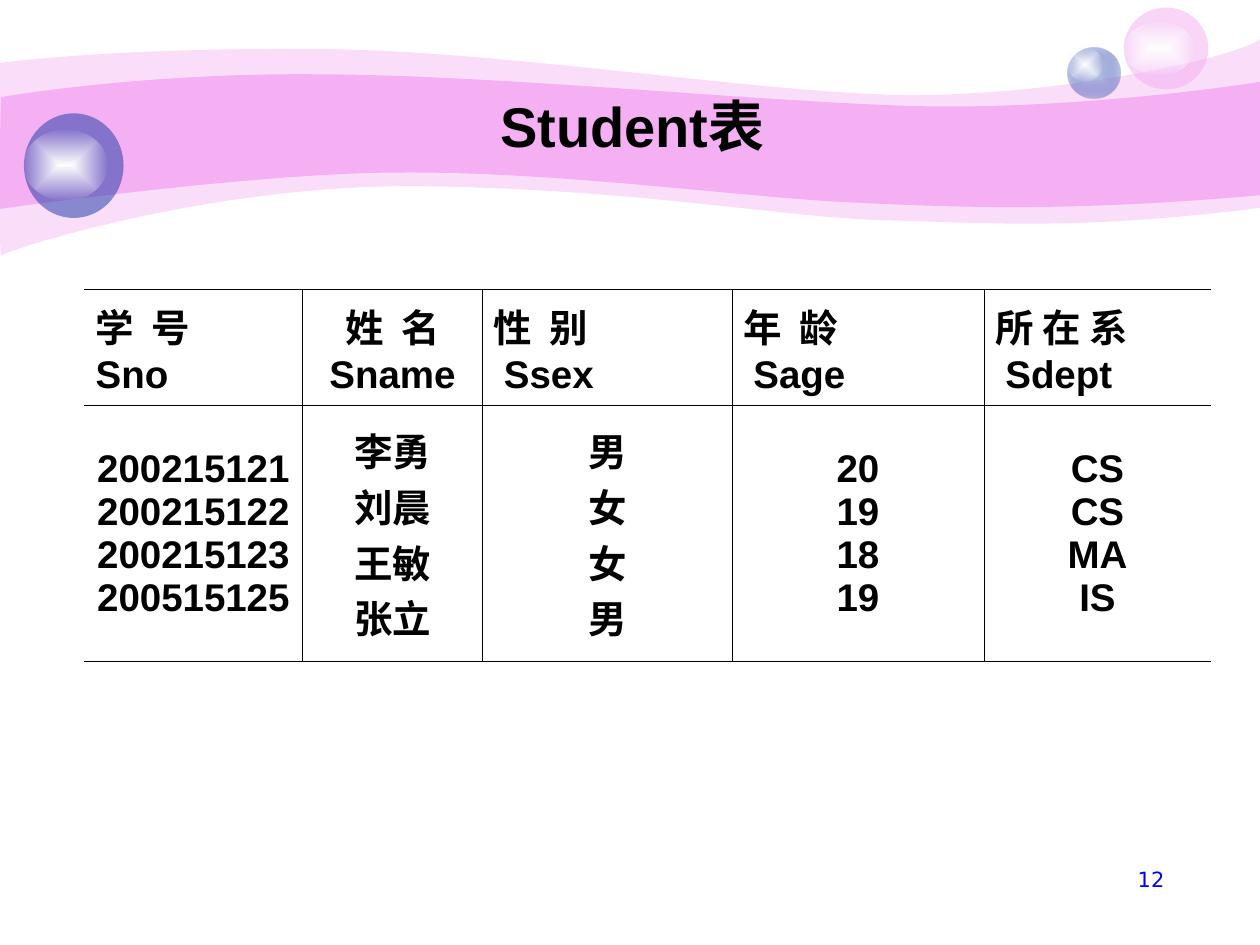
from dataclasses import dataclass

from lxml import etree
from pptx import Presentation
from pptx.dml.color import RGBColor
from pptx.enum import shapes, text
from pptx.oxml import ns
from pptx.util import Inches, Pt


@dataclass(frozen=True)
class Theme:
    """Colours, fonts and type sizes of the slide."""
    pink: str = "F4B0F2"
    blue: str = "233DA9"
    pale_blue: str = "C7CEE9"
    white: str = "FFFFFF"
    ink: str = "000000"
    number: str = "0000FF"
    font: str = "Arial"
    number_font: str = "DejaVu Sans"
    title_size: float = 32
    table_size: float = 22
    number_size: float = 12
    rule_width: float = 0.45


THEME = Theme()
LEFT, CENTER, RIGHT = text.PP_ALIGN.LEFT, text.PP_ALIGN.CENTER, text.PP_ALIGN.RIGHT

OUTER_WAVE = [
    (0, 0.5),
    [(0.24, 0.47), (1.07, 0.38), (2.47, 0.39)],
    [(3.86, 0.39), (5.75, 0.7), (6.99, 0.75)],
    [(8.22, 0.8), (9.8, 0.47), (10, 0.31)],
    [(10, 1.65)],
    [(8.58, 1.83), (7.87, 1.77), (7.05, 1.75)],
    [(6.22, 1.73), (5.15, 1.51), (3.43, 1.48)],
    [(1.72, 1.44), (0.04, 1.99), (0.01, 2.03)],
    [(-0.01, 2.08), (0, 0.75), (0, 0.5)],
]
INNER_WAVE = [
    (0.01, 0.77),
    [(0.02, 0.77), (1.1, 0.58), (2.48, 0.59)],
    [(3.86, 0.59), (5.95, 0.8), (7.18, 0.84)],
    [(8.41, 0.88), (9.76, 0.69), (10, 0.65)],
    [(10, 1.55)],
    [(8.53, 1.68), (7.65, 1.65), (6.82, 1.61)],
    [(5.99, 1.58), (4.47, 1.36), (3.17, 1.37)],
    [(2.03, 1.37), (-0.02, 1.66), (-0.01, 1.66)],
    [(0, 1.66), (0, 0.77), (0.01, 0.77)],
]
COLUMNS = [
    (1.73, "学 号", "Sno", LEFT, 0, ["200215121", "200215122", "200215123", "200515125"]),
    (1.43, "姓 名", "Sname", CENTER, 0, ["李勇", "刘晨", "王敏", "张立"]),
    (1.98, "性 别", "Ssex", LEFT, 0.08, ["男", "女", "女", "男"]),
    (2.0, "年 龄", "Sage", LEFT, 0.08, ["20", "19", "18", "19"]),
    (1.8, "所 在 系", "Sdept", LEFT, 0.08, ["CS", "CS", "MA", "IS"]),
]


def set_opacity(color, percent):
    """Give a colour element an opacity in percent."""
    etree.SubElement(color, ns.qn("a:alpha"), val=str(percent * 1000))


def fill_solid(shape, color, opacity=100):
    """Fill a shape with one colour, without line or shadow."""
    shape.shadow.inherit = False
    shape.fill.solid()
    shape.fill.fore_color.rgb = RGBColor.from_string(color)
    if opacity < 100:
        set_opacity(next(shape._element.spPr.iter(ns.qn("a:srgbClr"))), opacity)
    shape.line.fill.background()


def fill_glow(shape, center, edge, edge_opacity):
    """Fill a shape with a gradient that fades outwards from its middle."""
    shape.shadow.inherit = False
    shape.fill.gradient()
    for stop, color, position in zip(shape.fill.gradient_stops, (center, edge), (0, 1)):
        stop.color.rgb = RGBColor.from_string(color)
        stop.position = position
    gradient = shape._element.spPr.find(ns.qn("a:gradFill"))
    set_opacity(list(gradient.iter(ns.qn("a:srgbClr")))[-1], edge_opacity)
    gradient.remove(gradient.find(ns.qn("a:lin")))
    spread = etree.SubElement(gradient, ns.qn("a:path"), path="rect")
    etree.SubElement(spread, ns.qn("a:fillToRect"), l="50000", t="50000", r="50000", b="50000")
    shape.line.fill.background()


def bend_segments(shape, segments):
    """Turn each run of three line segments into one cubic curve."""
    lines = iter(list(shape._element.spPr.iter(ns.qn("a:lnTo"))))
    for segment in segments:
        parts = [next(lines) for _ in segment]
        if len(parts) == 3:
            curve = etree.Element(ns.qn("a:cubicBezTo"))
            parts[0].addprevious(curve)
            for part in parts:
                curve.append(part[0])
                part.getparent().remove(part)


def add_wave(slide, outline, opacity=100):
    """Draw a pink wave from its start and its curve or line segments."""
    start, *segments = outline
    builder = slide.shapes.build_freeform(*map(Inches, start))
    points = [tuple(map(Inches, point)) for segment in segments for point in segment]
    builder.add_line_segments(points, close=True)
    wave = builder.convert_to_shape()
    bend_segments(wave, segments)
    fill_solid(wave, THEME.pink, opacity)


def add_ball(slide, *box):
    """Add a circle in a box given in inches."""
    return slide.shapes.add_shape(shapes.MSO_SHAPE.OVAL, *map(Inches, box))


def add_shine(slide, *box):
    """Add the white highlight of a ball."""
    fill_glow(add_ball(slide, *box), THEME.white, THEME.white, 0)


def style_paragraph(paragraph, size, align, color=THEME.ink, font=THEME.font, bold=True):
    """Set alignment and font of a paragraph."""
    paragraph.alignment = align
    paragraph.font.size = Pt(size)
    paragraph.font.name = font
    paragraph.font.bold = bold
    paragraph.font.color.rgb = RGBColor.from_string(color)


def add_label(slide, box, words, anchor, *style):
    """Add a one-line text box."""
    frame = slide.shapes.add_textbox(*map(Inches, box)).text_frame
    frame.word_wrap = True
    frame.vertical_anchor = anchor
    frame.text = words
    style_paragraph(frame.paragraphs[0], *style)


def set_borders(cell, ruled):
    """Rule the named sides of a cell and clear the others."""
    properties = cell._tc.get_or_add_tcPr()
    for index, side in enumerate("LRTB"):
        line = etree.Element(ns.qn(f"a:ln{side}"), w=str(Pt(THEME.rule_width)))
        kind = "a:solidFill" if side in ruled else "a:noFill"
        paint = etree.SubElement(line, ns.qn(kind))
        if side in ruled:
            etree.SubElement(paint, ns.qn("a:srgbClr"), val=THEME.ink)
        properties.insert(index, line)


def fill_cell(cell, lines, align, ruled):
    """Write lines into a cell and set its look."""
    cell.fill.background()
    cell.vertical_anchor = text.MSO_ANCHOR.MIDDLE
    cell.margin_left = cell.margin_right = Inches(0.09)
    cell.text = "\n".join(lines)
    for paragraph in cell.text_frame.paragraphs:
        style_paragraph(paragraph, THEME.table_size, align)
    set_borders(cell, ruled)


def add_student_table(slide):
    """Add the student table with one header row and one body row."""
    table = slide.shapes.add_table(2, len(COLUMNS), Inches(0.67), Inches(2.3),
                                   Inches(8.94), Inches(2.95)).table
    table.first_row = table.horz_banding = False
    table.rows[0].height, table.rows[1].height = Inches(0.92), Inches(2.03)
    for index, (width, heading, field, align, indent, values) in enumerate(COLUMNS):
        table.columns[index].width = Inches(width)
        ruled = "TB" + "L" * (index > 0) + "R" * (index < len(COLUMNS) - 1)
        header = table.cell(0, index)
        fill_cell(header, [heading, field], align, ruled)
        fill_cell(table.cell(1, index), values, CENTER, ruled)
        heading_line, field_line = header.text_frame.paragraphs
        if heading.count(" ") == 1:
            heading_line.runs[0]._r.get_or_add_rPr().set("spc", "250")
        if indent:
            field_line._p.get_or_add_pPr().set("marL", str(Inches(indent)))


def main():
    """Build the slide and save it."""
    deck = Presentation()
    deck.slide_width, deck.slide_height = Inches(10), Inches(7.5)
    slide = deck.slides.add_slide(deck.slide_layouts[6])
    add_wave(slide, OUTER_WAVE, 41)
    add_wave(slide, INNER_WAVE)
    fill_glow(add_ball(slide, 8.47, 0.38, 0.42, 0.4), THEME.pale_blue, THEME.blue, 31)
    add_shine(slide, 8.47, 0.38, 0.28, 0.27)
    fill_solid(add_ball(slide, 8.92, 0.06, 0.67, 0.65), THEME.pink, 53)
    add_shine(slide, 8.92, 0.17, 0.56, 0.43)
    fill_solid(add_ball(slide, 0.19, 0.9, 0.79, 0.83), THEME.blue, 53)
    add_shine(slide, 0.19, 1.03, 0.66, 0.56)
    add_label(slide, (0.98, 0.68, 8.08, 0.62), "Student表", text.MSO_ANCHOR.MIDDLE,
              THEME.title_size, CENTER)
    add_student_table(slide)
    add_label(slide, (7.17, 6.83, 2.17, 0.52), "12", text.MSO_ANCHOR.TOP,
              THEME.number_size, RIGHT, THEME.number, THEME.number_font, False)
    deck.save("out.pptx")


if __name__ == "__main__":
    main()
